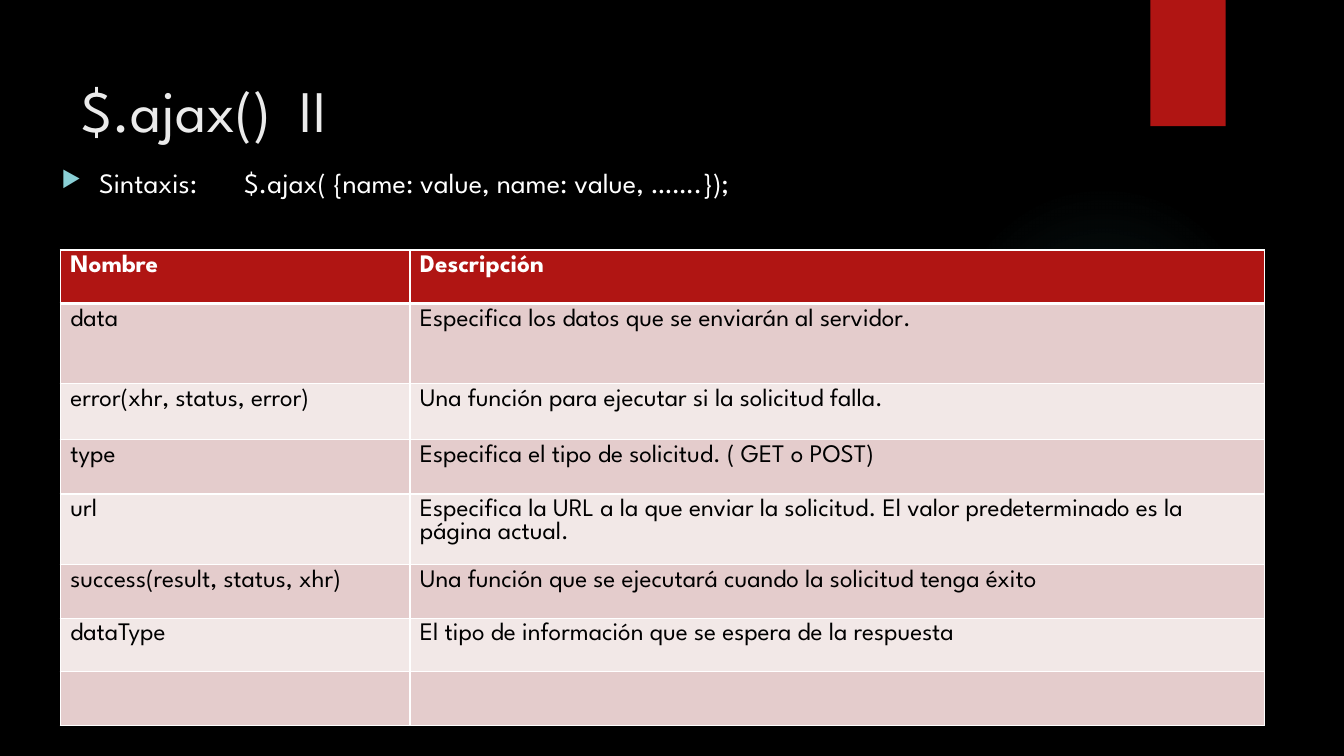
from lxml import etree
from pptx import Presentation, util as u
from pptx.dml import color
from pptx.enum import shapes, text
from pptx.oxml import ns

COLORS = {
    "background": "000000",
    "accent": "B01513",
    "glow": "50B9C1",
    "title": "EBEBEB",
    "light": "FFFFFF",
    "dark": "000000",
    "bullet": "8AD0D6",
    "odd": "E4CCCC",
    "even": "F2E8E7",
}


def rgb(key):
    return color.RGBColor.from_string(COLORS[key])


def child(parent, tag, **attributes):
    return etree.SubElement(parent, ns.qn(tag), **attributes)


class SlideBuilder:
    font = "League Spartan"

    def __init__(self, slide):
        self.slide = slide
        slide.background.fill.solid()
        slide.background.fill.fore_color.rgb = rgb("background")

    def shape(self, kind, left, top, width, height):
        item = self.slide.shapes.add_shape(
            kind, u.Cm(left), u.Cm(top), u.Cm(width), u.Cm(height))
        item.shadow.inherit = False
        item.line.fill.background()
        return item

    def block(self, left, top, width, height, fill):
        item = self.shape(shapes.MSO_SHAPE.RECTANGLE, left, top, width, height)
        item.fill.solid()
        item.fill.fore_color.rgb = rgb(fill)

    def glow(self, left, top, size, fill, stops):
        item = self.shape(shapes.MSO_SHAPE.OVAL, left, top, size, size)
        gradient = etree.Element(ns.qn("a:gradFill"), rotWithShape="1")
        stop_list = child(gradient, "a:gsLst")
        for position, opacity in stops:
            stop = child(stop_list, "a:gs", pos=str(position * 1000))
            tint = child(stop, "a:srgbClr", val=COLORS[fill])
            child(tint, "a:alpha", val=str(opacity * 1000))
        circle = child(gradient, "a:path", path="circle")
        child(circle, "a:fillToRect", l="50000", t="50000", r="50000", b="50000")
        item._element.spPr.find(ns.qn("a:prstGeom")).addnext(gradient)

    def run(self, paragraph, wording, size, ink, bold=False, spacing=0):
        part = paragraph.add_run()
        part.text = wording
        part.font.name = self.font
        part.font.size = u.Pt(size)
        part.font.bold = bold
        part.font.color.rgb = rgb(ink)
        if spacing:
            part._r.get_or_add_rPr().set("spc", str(spacing))

    def text(self, left, top, width, height, inset, parts, size, ink):
        frame = self.slide.shapes.add_textbox(
            u.Cm(left), u.Cm(top), u.Cm(width), u.Cm(height)).text_frame
        frame.word_wrap = True
        frame.margin_top = u.Cm(inset)
        frame.vertical_anchor = text.MSO_ANCHOR.TOP
        paragraph = frame.paragraphs[0]
        for wording, spacing in parts:
            self.run(paragraph, wording, size, ink, spacing=spacing)
        return paragraph

    def bullet(self, paragraph, sign, ink, percent, indent):
        properties = paragraph._p.get_or_add_pPr()
        properties.set("marL", str(u.Cm(indent)))
        properties.set("indent", str(-u.Cm(indent)))
        tint = child(properties, "a:buClr")
        child(tint, "a:srgbClr", val=COLORS[ink])
        child(properties, "a:buSzPct", val=str(percent * 1000))
        child(properties, "a:buChar", char=sign)

    def borders(self, cell, ink, widths):
        properties = cell._tc.get_or_add_tcPr()
        for index, (side, width) in enumerate(zip("LRTB", widths)):
            edge = etree.Element(ns.qn(f"a:ln{side}"), w=str(u.Pt(width)))
            fill = child(edge, "a:solidFill")
            child(fill, "a:srgbClr", val=COLORS[ink])
            properties.insert(index, edge)

    def table(self, left, top, widths, heights, rows, size):
        grid = self.slide.shapes.add_table(
            len(rows), len(widths), u.Cm(left), u.Cm(top),
            u.Cm(sum(widths)), u.Cm(sum(heights))).table
        for column, width in zip(grid.columns, widths):
            column.width = u.Cm(width)
        for index, (row, height, entries) in enumerate(
                zip(grid.rows, heights, rows)):
            row.height = u.Cm(height)
            header = index == 0
            band = "accent" if header else ("even", "odd")[index % 2]
            edges = (1, 1, 3 if index == 1 else 1, 3 if header else 1)
            for cell, wording in zip(row.cells, entries):
                cell.fill.solid()
                cell.fill.fore_color.rgb = rgb(band)
                self.borders(cell, "light", edges)
                if wording:
                    self.run(cell.text_frame.paragraphs[0], wording, size,
                             "light" if header else "dark", header)


def main():
    deck = Presentation()
    deck.slide_width, deck.slide_height = u.Cm(33.87), u.Cm(19.05)
    page = SlideBuilder(deck.slides.add_slide(deck.slide_layouts[6]))

    page.glow(23.9, 4.65, 7.82, "glow", [(0, 7), (36, 6), (69, 0), (100, 0)])
    page.block(28.99, 0, 1.9, 3.18, "accent")
    page.text(1.8, 1.27, 26.14, 3.89, 0.6,
              [("$.ajax()", 0), (" ", 990), ("II", 0)], 42, "title")
    syntax = page.text(
        1.3, 3.81, 30.78, 13.54, 0.36,
        [("Sintaxis:", 0), (" ", 2850),
         ("$.ajax( {name: value, name: value, …….});", 0)], 20, "light")
    page.bullet(syntax, "▶", "bullet", 80, 0.95)

    options = [
        ("Nombre", "Descripción"),
        ("data", "Especifica los datos que se enviarán al servidor."),
        ("error(xhr, status, error)",
         "Una función para ejecutar si la solicitud falla."),
        ("type", "Especifica el tipo de solicitud. ( GET o POST)"),
        ("url", "Especifica la URL a la que enviar la solicitud. "
                "El valor predeterminado es la página actual."),
        ("success(result, status, xhr)",
         "Una función que se ejecutará cuando la solicitud tenga éxito"),
        ("dataType", "El tipo de información que se espera de la respuesta"),
        ("", ""),
    ]
    page.table(1.52, 6.3, [8.81, 21.54],
               [1.35, 2.01, 1.42, 1.37, 1.42, 1.35, 1.35, 1.35], options, 18)
    deck.save("out.pptx")


if __name__ == "__main__":
    main()
